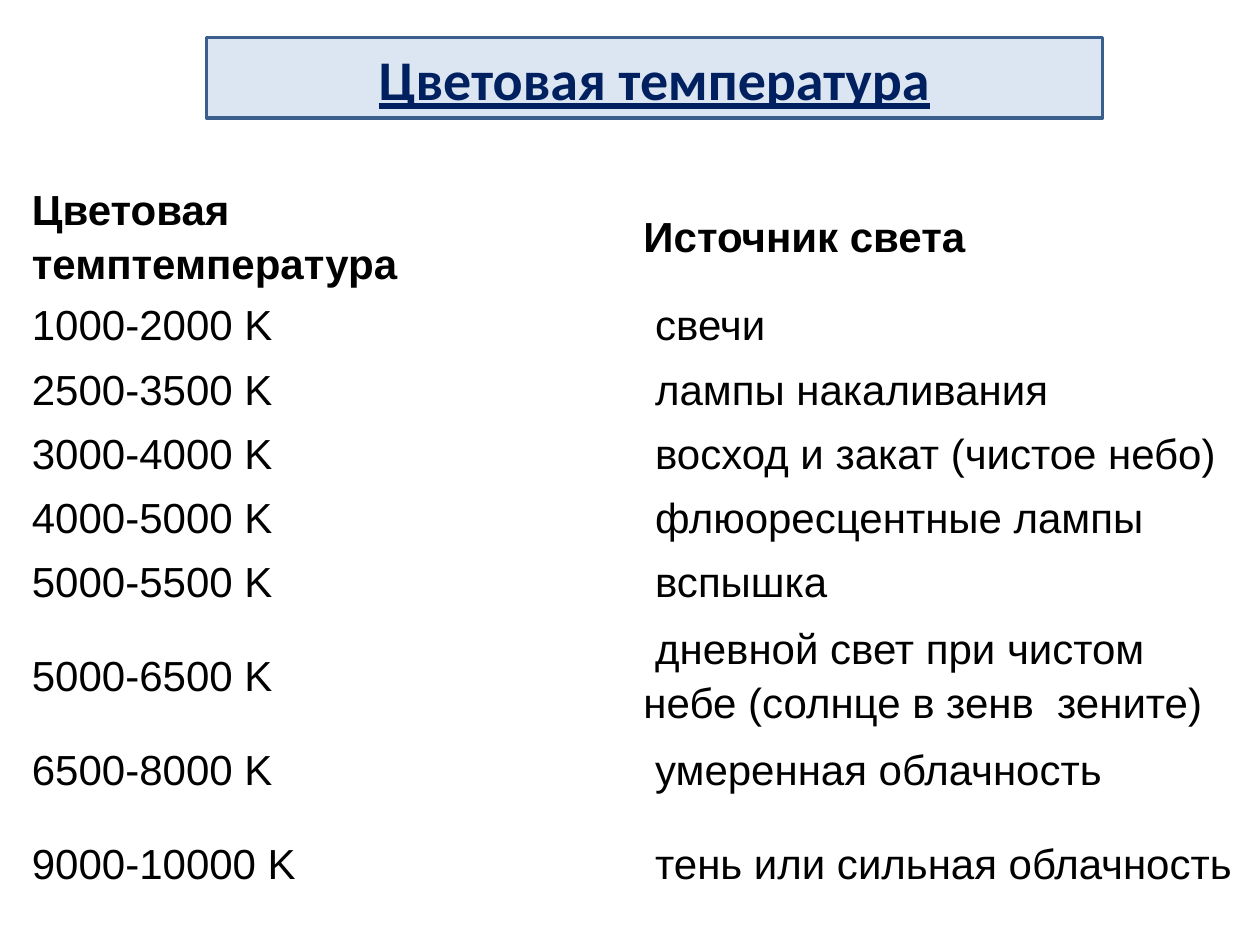
from pptx import Presentation
from pptx import util as u
from pptx.dml.color import RGBColor
from pptx.enum import text

BLACK = RGBColor(0x00, 0x00, 0x00)
NAVY = RGBColor(0x00, 0x20, 0x60)
PALE_BLUE = RGBColor(0xDC, 0xE6, 0xF2)
STEEL_BLUE = RGBColor(0x3A, 0x5F, 0x8C)

ROWS = [
    ("Цветовая\nтемптемпература", "Источник света"),
    ("1000-2000 K", "свечи"),
    ("2500-3500 K", "лампы накаливания"),
    ("3000-4000 K", "восход и закат (чистое небо)"),
    ("4000-5000 K", "флюоресцентные лампы"),
    ("5000-5500 K", "вспышка"),
    ("5000-6500 K", "дневной свет при чистом небе (солнце в зенв  зените)"),
    ("6500-8000 K", "умеренная облачность"),
    ("9000-10000 K", "тень или сильная облачность"),
]
ROW_HEIGHT = 36.75
TALL_ROW_HEIGHT = 70.5
TALL_ROWS = (6, 8)
CELL_MARGIN = u.Pt(1.5)
SOURCE_INDENT = u.Pt(6.67)

presentation = Presentation()
presentation.slide_width = u.Pt(720)
presentation.slide_height = u.Pt(540)
slide = presentation.slides.add_slide(presentation.slide_layouts[5])

heights = [TALL_ROW_HEIGHT if index in TALL_ROWS else ROW_HEIGHT for index in range(len(ROWS))]
table = slide.shapes.add_table(
    len(ROWS), 2, u.Pt(16.75), u.Pt(101.5), u.Pt(693), u.Pt(sum(heights))
).table
table.first_row = False
table.horz_banding = False
table.columns[0].width = u.Pt(349.5)
table.columns[1].width = u.Pt(343.5)

for row_index, (labels, height) in enumerate(zip(ROWS, heights)):
    table.rows[row_index].height = u.Pt(height)
    for column_index, label in enumerate(labels):
        cell = table.cell(row_index, column_index)
        cell.fill.background()
        cell.vertical_anchor = text.MSO_ANCHOR.MIDDLE
        cell.margin_left = cell.margin_right = CELL_MARGIN
        cell.margin_top = cell.margin_bottom = CELL_MARGIN
        for line_index, line in enumerate(label.split("\n")):
            frame = cell.text_frame
            paragraph = frame.add_paragraph() if line_index else frame.paragraphs[0]
            paragraph.line_spacing = 1.15
            if row_index and column_index:
                paragraph._p.get_or_add_pPr().set("indent", str(SOURCE_INDENT))
            run = paragraph.add_run()
            run.text = line
            run.font.name = "Arial"
            run.font.size = u.Pt(24)
            run.font.bold = row_index == 0
            run.font.color.rgb = BLACK

title = slide.shapes.title
title.left, title.top = u.Pt(118), u.Pt(21.5)
title.width, title.height = u.Pt(512), u.Pt(46)
title.fill.solid()
title.fill.fore_color.rgb = PALE_BLUE
title.line.color.rgb = STEEL_BLUE
title.line.width = u.Pt(2)
title.text_frame.vertical_anchor = text.MSO_ANCHOR.MIDDLE
paragraph = title.text_frame.paragraphs[0]
paragraph.alignment = text.PP_ALIGN.CENTER
run = paragraph.add_run()
run.text = "Цветовая температура"
run.font.name = "Calibri"
run.font.size = u.Pt(32)
run.font.bold = True
run.font.underline = True
run.font.color.rgb = NAVY

presentation.save("out.pptx")
